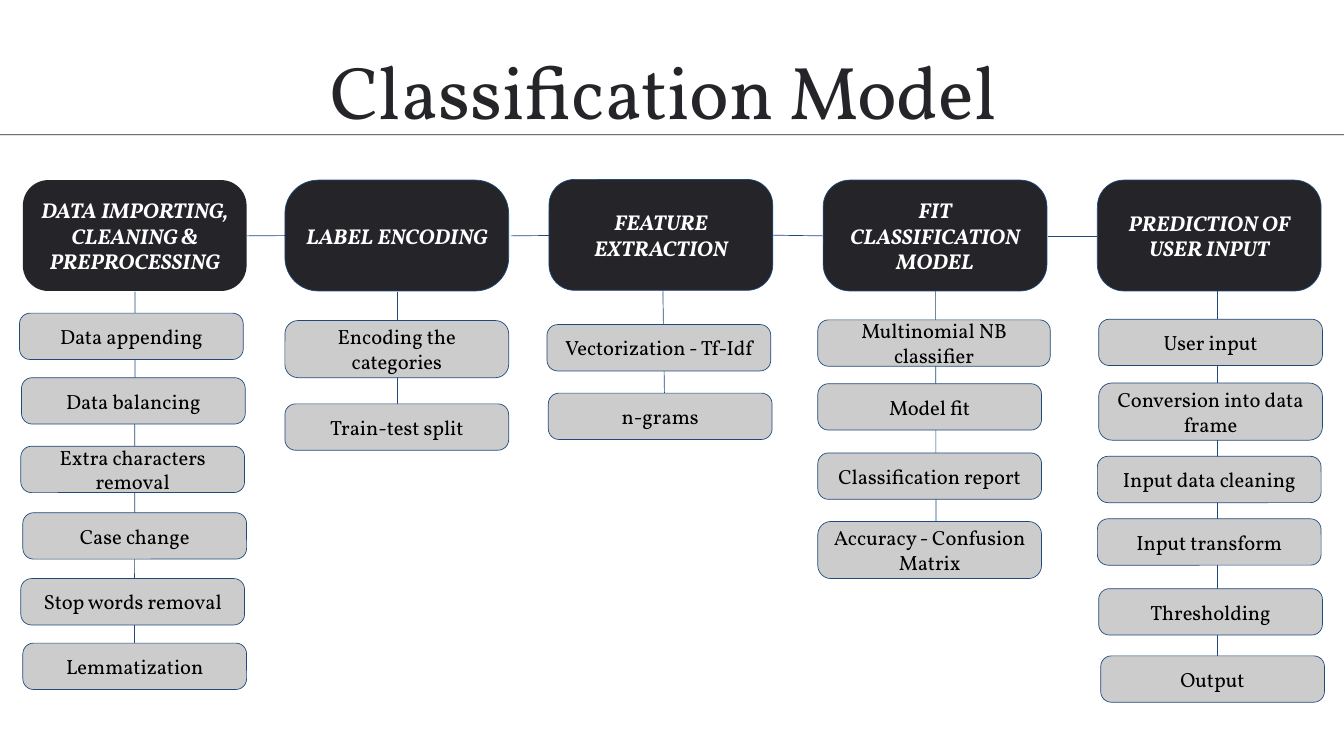
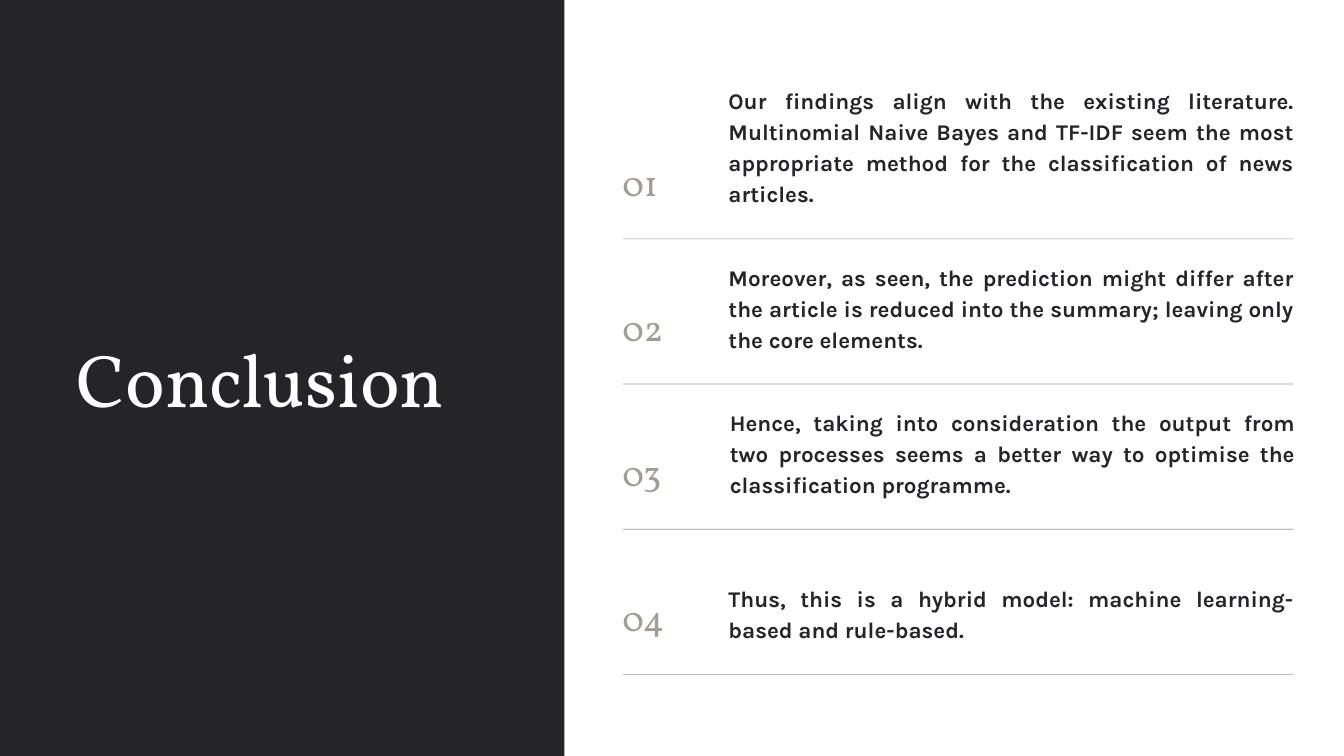
from dataclasses import dataclass
from typing import Any

from lxml import etree
from pptx import Presentation
from pptx import util as u
from pptx.dml.color import RGBColor
from pptx.enum import shapes, text
from pptx.oxml import ns

PX = 9144  # EMU per px, 100 px to the inch
SLIDE_WIDTH, SLIDE_HEIGHT = 2000, 1125
TITLE_ONLY, TITLE_AND_FOUR_BODIES = 5, 4

COLOURS = {
    "ink": "252529",
    "paper": "FFFFFF",
    "step": "CCCCCC",
    "step text": "000000",
    "outline": "1F497D",
    "muted": "A19C94",
}

FONTS = {
    "title": {"name": "Vollkorn", "size": u.Pt(80), "bold": False},
    "stage": {"name": "Vollkorn", "size": u.Pt(23), "bold": True, "italic": True},
    "step": {"name": "Vollkorn", "size": u.Pt(22)},
    "number": {"name": "Vollkorn", "size": u.Pt(38.5)},
    "statement": {"name": "Karla", "size": u.Pt(24), "bold": True},
}

BOX_FRAME = {
    "word_wrap": True,
    "vertical_anchor": text.MSO_ANCHOR.MIDDLE,
    **{f"margin_{side}": 10 * PX for side in ("left", "top", "right", "bottom")},
}
PLAIN_FRAME = {
    "word_wrap": True,
    "auto_size": text.MSO_AUTO_SIZE.NONE,
    "vertical_anchor": text.MSO_ANCHOR.TOP,
    "margin_left": 0,
    "margin_top": 2 * PX,
    "margin_right": 0,
    "margin_bottom": 0,
}
CENTRED = {"alignment": text.PP_ALIGN.CENTER}
LEFT = {"alignment": text.PP_ALIGN.LEFT}
JUSTIFIED = {
    "alignment": text.PP_ALIGN.JUSTIFY,
    "line_spacing": 1.15,
    "space_before": u.Pt(0),
}


@dataclass(frozen=True)
class Area:
    left: int
    top: int
    width: int
    height: int

    def emu(self) -> list[int]:
        return [n * PX for n in (self.left, self.top, self.width, self.height)]


@dataclass(frozen=True)
class Step:
    label: str
    left: int
    top: int
    height: int = 69
    width: int = 333


@dataclass(frozen=True)
class Stage:
    heading: str
    left: int
    top: int
    rounding: float
    stem: tuple[int, int, int, int]
    steps: tuple[Step, ...]
    outline: str | None = "outline"


@dataclass(frozen=True)
class Statement:
    wording: str
    height: int
    left: int = 1084


STAGES = (
    Stage("DATA IMPORTING, CLEANING & PREPROCESSING", 34, 268, 0.23, (201, 434, 200, 1027), (
        Step("Data appending", 29, 466),
        Step("Data balancing", 32, 562),
        Step("Extra characters removal", 31, 664),
        Step("Case change", 34, 763),
        Step("Stop words removal", 31, 861),
        Step("Lemmatization", 34, 957),
    ), outline=None),
    Stage("LABEL ENCODING", 424, 268, 0.3, (591, 434, 591, 601), (
        Step("Encoding the categories", 424, 477, 85),
        Step("Train-test split", 424, 601),
    )),
    Stage("FEATURE EXTRACTION", 817, 267, 0.23, (984, 267, 989, 602), (
        Step("Vectorization - Tf-Idf", 814, 483),
        Step("n-grams", 816, 585),
    )),
    Stage("FIT CLASSIFICATION MODEL", 1225, 268, 0.24, (1392, 275, 1393, 834), (
        Step("Multinomial NB classifier", 1217, 476, width=346),
        Step("Model fit", 1217, 571),
        Step("Classification report", 1217, 674),
        Step("Accuracy - Confusion Matrix", 1217, 776, 85),
    )),
    Stage("PREDICTION OF USER INPUT", 1633, 268, 0.24, (1811, 385, 1811, 1008), (
        Step("User input", 1635, 475),
        Step("Conversion into data frame", 1635, 570, 85),
        Step("Input data cleaning", 1633, 679),
        Step("Input transform", 1633, 772),
        Step("Thresholding", 1635, 876),
        Step("Output", 1638, 976),
    )),
)

STAGE_LINKS = (
    (367, 351, 506, 350),
    (760, 351, 862, 350),
    (1151, 350, 1225, 351),
    (1559, 351, 1633, 351),
)

STATEMENTS = (
    Statement("Our findings align with the existing literature. Multinomial Naive Bayes "
              "and TF-IDF seem the most appropriate method for the classification of "
              "news articles.", 182),
    Statement("Moreover, as seen, the prediction might differ after the article is reduced "
              "into the summary; leaving only the core elements.", 135),
    Statement("Hence, taking into consideration the output from two processes seems a "
              "better way to optimise the classification programme.", 135, 1086),
    Statement("Thus, this is a hybrid model: machine learning-based and rule-based.", 89),
)
FIRST_RULE, RULE_PITCH = 355, 216


def rgb(colour: str) -> RGBColor:
    return RGBColor.from_string(COLOURS[colour])


def apply(target: Any, values: dict[str, Any]) -> None:
    for name, value in values.items():
        setattr(target, name, value)


def write(shape: Any, wording: str, font: str, colour: str,
          frame: dict[str, Any], layout: dict[str, Any]) -> None:
    apply(shape.text_frame, frame)
    paragraph = shape.text_frame.paragraphs[0]
    apply(paragraph, layout)
    run = paragraph.add_run()
    run.text = wording
    apply(run.font, FONTS[font])
    run.font.color.rgb = rgb(colour)


def place(shape: Any, area: Area) -> None:
    apply(shape, dict(zip(("left", "top", "width", "height"), area.emu())))


def add_title(slide: Any, wording: str, area: Area, colour: str,
              layout: dict[str, Any]) -> None:
    place(slide.shapes.title, area)
    write(slide.shapes.title, wording, "title", colour,
          PLAIN_FRAME | {"margin_top": PX}, layout)


def add_block(slide: Any, kind: Any, area: Area, fill: str,
              outline: str | None = None) -> Any:
    block = slide.shapes.add_shape(kind, *area.emu())
    block.shadow.inherit = False
    block.fill.solid()
    block.fill.fore_color.rgb = rgb(fill)
    if outline:
        block.line.color.rgb = rgb(outline)
        block.line.width = u.Pt(0.75)
    else:
        block.line.fill.background()
    return block


def add_bar(slide: Any, area: Area, fill: str) -> Any:
    return add_block(slide, shapes.MSO_SHAPE.RECTANGLE, area, fill)


def add_rounded(slide: Any, area: Area, fill: str, outline: str | None,
                rounding: float) -> Any:
    box = add_block(slide, shapes.MSO_SHAPE.ROUNDED_RECTANGLE, area, fill, outline)
    box.adjustments[0] = rounding
    return box


def add_link(slide: Any, ends: tuple[int, int, int, int]) -> None:
    link = slide.shapes.add_connector(shapes.MSO_CONNECTOR.STRAIGHT, *(n * PX for n in ends))
    link.line.color.rgb = rgb("outline")
    link.line.width = u.Pt(0.75)
    etree.SubElement(link._element.spPr, ns.qn("a:effectLst"))


def remove_bullet(paragraph: Any) -> None:
    properties = paragraph._p.get_or_add_pPr()
    apply_indent = {"marL": "0", "indent": "0"}
    for name, value in apply_indent.items():
        properties.set(name, value)
    etree.SubElement(properties, ns.qn("a:buNone"))


def add_stage(slide: Any, stage: Stage) -> None:
    heading = add_rounded(slide, Area(stage.left, stage.top, 333, 165), "ink",
                          stage.outline, stage.rounding)
    write(heading, stage.heading, "stage", "paper", BOX_FRAME, CENTRED)
    for step in stage.steps:
        area = Area(step.left, step.top, step.width, step.height)
        box = add_rounded(slide, area, "step", "outline", 0.23)
        write(box, step.label, "step", "step text", BOX_FRAME, CENTRED)


def build_model_slide(deck: Any) -> None:
    slide = deck.slides.add_slide(deck.slide_layouts[TITLE_ONLY])
    add_title(slide, "Classification Model", Area(424, 65, 1127, 136), "ink", CENTRED)
    add_bar(slide, Area(0, 200, SLIDE_WIDTH, 1), "ink")
    for ends in (*STAGE_LINKS, *(stage.stem for stage in STAGES)):
        add_link(slide, ends)
    for stage in STAGES:
        add_stage(slide, stage)


def build_conclusion_slide(deck: Any) -> None:
    slide = deck.slides.add_slide(deck.slide_layouts[TITLE_AND_FOUR_BODIES])
    panel = add_bar(slide, Area(0, 0, 840, SLIDE_HEIGHT), "ink")
    slide.shapes._spTree.insert(2, panel._element)  # behind the title
    add_title(slide, "Conclusion", Area(114, 494, 653, 136), "paper", LEFT)

    bodies = list(slide.placeholders)[1:]
    for index, (body, statement) in enumerate(zip(bodies, STATEMENTS)):
        rule_top = FIRST_RULE + index * RULE_PITCH
        add_bar(slide, Area(927, rule_top, 998, 1), "muted")

        number = slide.shapes.add_textbox(*Area(926, rule_top - 118, 75, 67).emu())
        write(number, f"{index + 1:02}", "number", "muted", PLAIN_FRAME, LEFT)

        statement_top = rule_top - 51 - statement.height
        place(body, Area(statement.left, statement_top, 841, statement.height))
        write(body, statement.wording, "statement", "ink", PLAIN_FRAME, JUSTIFIED)
        remove_bullet(body.text_frame.paragraphs[0])


def main() -> None:
    deck = Presentation()
    deck.slide_width, deck.slide_height = SLIDE_WIDTH * PX, SLIDE_HEIGHT * PX
    build_model_slide(deck)
    build_conclusion_slide(deck)
    deck.save("out.pptx")


if __name__ == "__main__":
    main()
